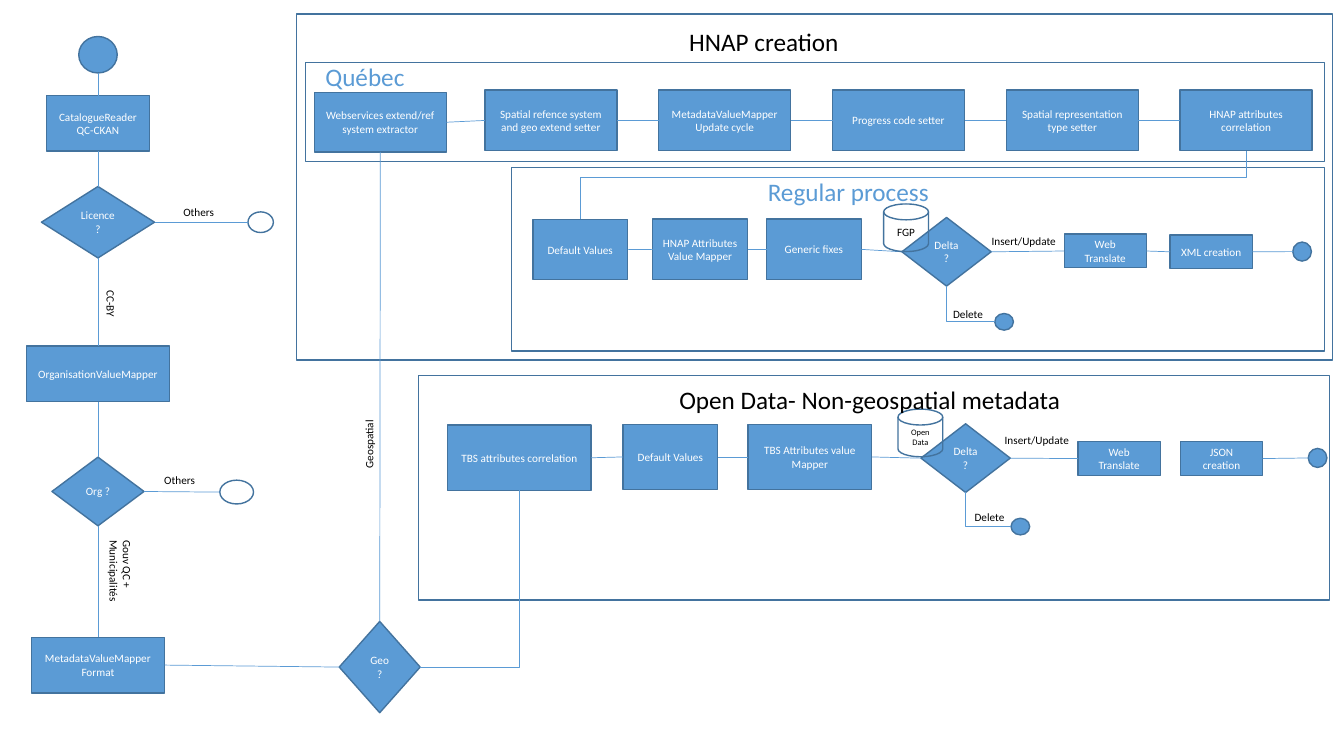
from lxml.etree import SubElement
from pptx import Presentation
from pptx.dml.color import RGBColor
from pptx.enum.shapes import MSO_CONNECTOR, MSO_SHAPE
from pptx.enum.text import MSO_ANCHOR, PP_ALIGN
from pptx.oxml.ns import qn
from pptx.util import Cm, Pt

BLUE = RGBColor(0x5B, 0x9B, 0xD5)
EDGE = RGBColor(0x43, 0x73, 0x9E)
WHITE = RGBColor(0xFF, 0xFF, 0xFF)
BLACK = RGBColor(0, 0, 0)

RECT = MSO_SHAPE.RECTANGLE
DIAMOND = MSO_SHAPE.DIAMOND
CIRCLE = MSO_SHAPE.FLOWCHART_CONNECTOR
DISK = MSO_SHAPE.FLOWCHART_MAGNETIC_DISK
TOP, LEFT, BOTTOM, RIGHT = range(4)

prs = Presentation()
prs.slide_width, prs.slide_height = Cm(33.87), Cm(19.05)
s = prs.slides.add_slide(prs.slide_layouts[6])


def add_text(text, x, y, w, h, geom=None, size=8, color=BLACK, fill=None, rot=0):
    """Add a label, or an outlined shape with centred text if geom is given."""
    box = Cm(x), Cm(y), Cm(w), Cm(h)
    if geom is None:
        sp = s.shapes.add_textbox(*box)
    else:
        sp = s.shapes.add_shape(geom, *box)
        sp.shadow.inherit = False
        sp.line.color.rgb = EDGE
        sp.line.width = Pt(1)
        if fill is None:
            sp.fill.background()
        else:
            sp.fill.solid()
            sp.fill.fore_color.rgb = fill
    sp.rotation = rot
    if text:
        tf = sp.text_frame
        tf.word_wrap = True
        tf.text = text
        tf.vertical_anchor = MSO_ANCHOR.TOP if geom is None else MSO_ANCHOR.MIDDLE
        for p in tf.paragraphs:
            p.alignment = PP_ALIGN.LEFT if geom is None else PP_ALIGN.CENTER
            p.font.name = "Calibri"
            p.font.size = Pt(size)
            p.font.color.rgb = color
    return sp


def link(a, side_a, b, side_b, kind=MSO_CONNECTOR.STRAIGHT):
    """Draw a connector between side middles; circles number their sites differently and are not glued."""
    ends = []
    for sp, side in ((a, side_a), (b, side_b)):
        dx, dy = ((0.5, 0), (0, 0.5), (0.5, 1), (1, 0.5))[side]
        ends += [int(sp.left + sp.width * dx), int(sp.top + sp.height * dy)]
    c = s.shapes.add_connector(kind, *ends)
    if a.auto_shape_type != CIRCLE:
        c.begin_connect(a, side_a)
    if b.auto_shape_type != CIRCLE:
        c.end_connect(b, side_b)
    c.line.color.rgb = BLUE
    c.line.width = Pt(0.5)
    SubElement(c._element.spPr, qn("a:effectLst"))
    return c


# Frames
for frame in (
    (7.48, 0.35, 26.1, 8.72),
    (7.7, 1.57, 25.68, 2.5),
    (12.89, 4.22, 20.49, 4.63),
    (10.54, 9.47, 22.97, 5.65),
):
    add_text("", *frame, geom=RECT)

# Main flow, centred on one vertical axis
AXIS = 2.47
main_flow = []
for geom, text, y, w, h in (
    (CIRCLE, "", 0.92, 0.97, 0.92),
    (RECT, "CatalogueReader\nQC-CKAN", 2.41, 2.59, 1.4),
    (DIAMOND, "Licence ?", 4.7, 2.85, 1.8),
    (RECT, "OrganisationValueMapper", 8.72, 3.6, 1.4),
    (DIAMOND, "Org ?", 11.52, 2.32, 1.73),
    (RECT, "MetadataValueMapper\nFormat", 16.06, 3.36, 1.4),
):
    main_flow.append(add_text(text, AXIS - w / 2, y, w, h, geom=geom, color=WHITE, fill=BLUE))
for upper, lower in zip(main_flow, main_flow[1:]):
    link(upper, BOTTOM, lower, TOP)
licence, org, metadata_format = main_flow[2], main_flow[4], main_flow[5]

link(licence, RIGHT, add_text("", 6.25, 5.34, 0.64, 0.52, geom=CIRCLE), LEFT)
link(org, RIGHT, add_text("", 5.54, 12.1, 0.85, 0.6, geom=CIRCLE), LEFT)

geo = add_text("Geo ?", 8.55, 15.66, 2.04, 2.3, geom=DIAMOND, color=WHITE, fill=BLUE)
link(metadata_format, RIGHT, geo, LEFT)

# Québec row
quebec = [add_text("Webservices extend/ref system extractor", 7.92, 2.33, 3.33, 1.5,
                   geom=RECT, color=WHITE, fill=BLUE)]
for i, text in enumerate((
    "Spatial refence system and geo extend setter",
    "MetadataValueMapper\nUpdate cycle",
    "Progress code setter",
    "Spatial representation type setter",
    "HNAP attributes correlation",
)):
    quebec.append(add_text(text, 12.22 + 4.38 * i, 2.27, 3.33, 1.53,
                           geom=RECT, color=WHITE, fill=BLUE))
for a, b in zip(quebec, quebec[1:]):
    link(a, RIGHT, b, LEFT)
link(geo, TOP, quebec[0], BOTTOM)

# Regular process and open data rows: steps, store, deletion end, unlinked gap
first_steps = []
for steps, store, delete_end, gap in (
    (((RECT, "Default Values", 13.43, 5.53, 2.39, 1.52),
      (RECT, "HNAP Attributes Value Mapper", 16.45, 5.52, 2.39, 1.53),
      (RECT, "Generic fixes", 19.32, 5.52, 2.39, 1.53),
      (DIAMOND, "Delta ?", 22.73, 5.48, 2.25, 1.73),
      (RECT, "Web Translate", 26.82, 5.9, 2.07, 0.85),
      (RECT, "XML creation", 29.49, 5.92, 2.07, 0.85),
      (CIRCLE, "", 32.58, 6.1, 0.47, 0.48)),
     ("FGP", 22.27, 5.14, 8), (25.07, 7.9), None),
    (((RECT, "TBS attributes correlation", 11.28, 10.71, 3.62, 1.65),
      (RECT, "Default Values", 15.7, 10.7, 2.39, 1.63),
      (RECT, "TBS Attributes value Mapper", 18.85, 10.7, 3.12, 1.63),
      (DIAMOND, "Delta ?", 23.21, 10.68, 2.25, 1.73),
      (RECT, "Web Translate", 27.17, 11.13, 2.07, 0.85),
      (RECT, "JSON creation", 29.75, 11.13, 2.07, 0.85),
      (CIRCLE, "", 32.97, 11.3, 0.47, 0.48)),
     ("Open\nData", 22.63, 10.31, 6), (25.48, 13.06), 4),
):
    row = [add_text(text, *box, geom=geom, color=WHITE, fill=BLUE) for geom, text, *box in steps]
    for i, (a, b) in enumerate(zip(row, row[1:])):
        if i != gap:
            link(a, RIGHT, b, LEFT)
    first_steps.append(row[0])
    name, x, y, size = store
    add_text(name, x, y, 1.13, 1.2, geom=DISK, size=size)
    end = add_text("", *delete_end, 0.47, 0.42, geom=CIRCLE, fill=BLUE)
    c = link(end, LEFT, row[3], BOTTOM, MSO_CONNECTOR.ELBOW)
    c._element.spPr.prstGeom.set("prst", "bentConnector2")

default_values, tbs_correlation = first_steps
c = link(geo, RIGHT, tbs_correlation, BOTTOM, MSO_CONNECTOR.ELBOW)
c._element.spPr.prstGeom.set("prst", "bentConnector2")

# Down, across and down again: a three-part elbow turned by 90 degrees
c = link(quebec[-1], BOTTOM, default_values, TOP, MSO_CONNECTOR.ELBOW)
across, down = c.width, c.height
c.left, c.top = c.left + (across - down) // 2, c.top + (down - across) // 2
c.width, c.height = down, across
xfrm = c._element.spPr.find(qn("a:xfrm"))
xfrm.set("rot", "5400000")
xfrm.set("flipH", "0")
SubElement(c._element.spPr.prstGeom.get_or_add_avLst(), qn("a:gd"), name="adj1", fmla="val 39300")

# Titles
for text, x, y, w, color in (
    ("HNAP creation", 17.12, 0.53, 4.62, BLACK),
    ("Québec", 7.95, 1.42, 2.59, BLUE),
    ("Regular process", 19.1, 4.32, 5.28, BLUE),
    ("Open Data- Non-geospatial metadata", 16.87, 9.55, 10.34, BLACK),
):
    add_text(text, x, y, w, 1.02, size=18, color=color)

# Labels on the lines
for text, x, y, w, h, rot in (
    ("Others", 4.37, 5.05, 2.31, 0.61, 0),
    ("Others", 3.89, 11.81, 2.31, 0.61, 0),
    ("CC-BY", 1.63, 7.92, 2.31, 0.61, 90),
    ("Gouv QC + Municipalités", 1.88, 14.05, 2.31, 0.94, 90),
    ("Geospatial", 8.23, 10.67, 2.16, 0.61, 270),
    ("Insert/Update", 24.74, 5.79, 2.29, 0.61, 0),
    ("Insert/Update", 25.07, 10.8, 2.29, 0.61, 0),
    ("Delete", 23.77, 7.62, 1.55, 0.61, 0),
    ("Delete", 24.31, 12.73, 1.55, 0.61, 0),
):
    add_text(text, x, y, w, h, rot=rot)

prs.save("out.pptx")
